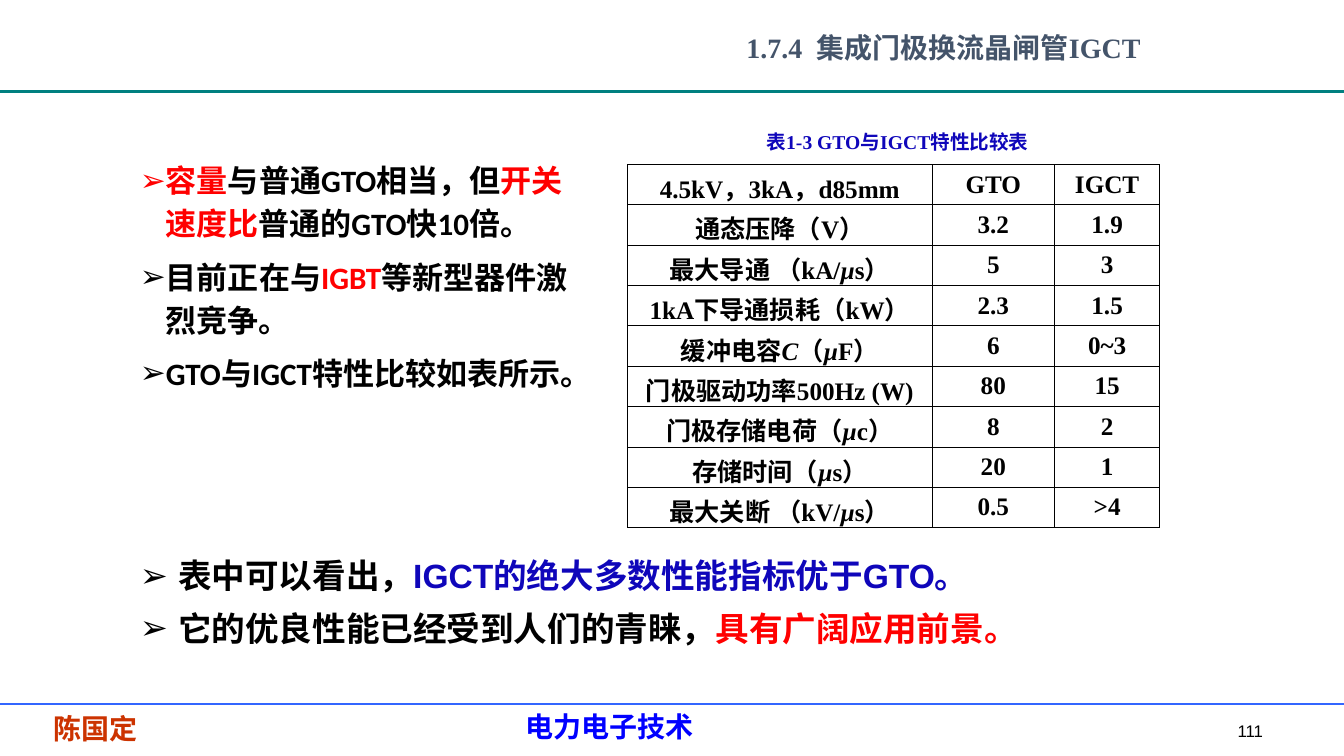
from dataclasses import dataclass

from lxml import etree
from pptx import Presentation
from pptx.dml.color import RGBColor
from pptx.enum import shapes, text
from pptx.oxml import ns
from pptx.util import Inches, Pt


@dataclass(frozen=True)
class Theme:
    black: str = "000000"
    red: str = "FF0000"
    navy: str = "0F06BA"
    blue: str = "0000FF"
    slate: str = "44546A"
    rust: str = "CC3300"
    teal: str = "008080"
    rule_blue: str = "3366FF"
    title: float = 20
    body: float = 22.2
    summary: float = 24
    cell: float = 18
    caption: float = 14
    number: float = 12
    border: float = 0.45


theme = Theme()
CENTER = text.PP_ALIGN.CENTER
MIDDLE = text.MSO_ANCHOR.MIDDLE


def style_font(para, name, size, bold=True):
    para.font.name = name
    para.font.size = Pt(size)
    para.font.bold = bold


def add_text(at, paras, name, size, align=None, anchor=None, inset=0.05, side=0.1,
             bold=True, wrap=True, indent=None, spacing=None, before=0):
    box = page.shapes.add_textbox(*map(Inches, at))
    frame = box.text_frame
    frame.word_wrap = wrap
    frame.vertical_anchor = anchor
    frame.margin_left = frame.margin_right = Inches(side)
    frame.margin_top = frame.margin_bottom = Inches(inset)
    for index, spans in enumerate(paras):
        para = frame.add_paragraph() if index else frame.paragraphs[0]
        para.alignment = align
        para.line_spacing = spacing
        if index:
            para.space_before = Pt(before)
        if indent:
            props = para._p.get_or_add_pPr()
            props.set("marL", str(Inches(indent)))
            props.set("indent", str(-Inches(indent)))
            bullet_color = etree.SubElement(props, ns.qn("a:buClr"))
            etree.SubElement(bullet_color, ns.qn("a:srgbClr"), val=spans[0][1])
            etree.SubElement(props, ns.qn("a:buFont"), typeface="Arial")
            etree.SubElement(props, ns.qn("a:buChar"), char="➢")
        style_font(para, name, size, bold)
        for words, color in spans:
            span = para.add_run()
            span.text = words
            span.font.color.rgb = RGBColor.from_string(color)


deck = Presentation()
deck.slide_width, deck.slide_height = Inches(13.34), Inches(7.5)
page = deck.slides.add_slide(deck.slide_layouts[6])

for y, color, width in [(0.91, theme.teal, 2), (6.98, theme.rule_blue, 1.5)]:
    rule = page.shapes.add_connector(
        shapes.MSO_CONNECTOR.STRAIGHT, 0, Inches(y), deck.slide_width, Inches(y))
    rule.line.color.rgb = RGBColor.from_string(color)
    rule.line.width = Pt(width)
    etree.SubElement(rule._element.spPr, ns.qn("a:effectLst"))

add_text((5.12, 7.04, 1.87, 0.33), [[("电力电子技术", theme.blue)]],
         "Arial", theme.title, inset=0, wrap=False)
add_text((0, 7.06, 1.89, 0.33), [[("陈国定", theme.rust)]],
         "Arial", theme.title, CENTER, inset=0, side=0)
add_text((12, 7.1, 0.82, 0.3), [[("111", theme.black)]],
         "Arial", theme.number, CENTER, bold=False)
add_text((7.24, 0.11, 4.25, 0.71), [[("1.7.4  集成门极换流晶闸管IGCT", theme.slate)]],
         "Times New Roman", theme.title, CENTER, MIDDLE)

add_text((1.29, 1.5, 4.54, 3.33), [
    [("容量", theme.red), ("与普通GTO相当，但", theme.black),
     ("开关速度比", theme.red), ("普通的GTO快10倍。", theme.black)],
    [("目前正在与", theme.black), ("IGBT", theme.red),
     ("等新型器件激烈竞争。", theme.black)],
    [("GTO与IGCT特性比较如表所示。", theme.black)],
], "Calibri", theme.body, indent=0.25, spacing=1.15, before=7.5)

add_text((7.38, 1.22, 3.06, 0.36), [[("表1-3 GTO与IGCT特性比较表", theme.navy)]],
         "Times New Roman", theme.caption, CENTER, spacing=1.1)

ratings = [
    ("4.5kV，3kA，d85mm", "GTO", "IGCT"),
    ("通态压降（V）", "3.2", "1.9"),
    ("最大导通 （kA/*µ*s）", "5", "3"),
    ("1kA下导通损耗（kW）", "2.3", "1.5"),
    ("缓冲电容*C*（*µ*F）", "6", "0~3"),
    ("门极驱动功率500Hz (W)", "80", "15"),
    ("门极存储电荷（*µ*c）", "8", "2"),
    ("存储时间（*µ*s）", "20", "1"),
    ("最大关断 （kV/*µ*s）", "0.5", ">4"),
]
table = page.shapes.add_table(
    len(ratings), 3, Inches(6.23), Inches(1.63), Inches(5.28), Inches(3.6)).table
table.first_row = table.horz_banding = False
for column, width in zip(table.columns, (3.02, 1.22, 1.04)):
    column.width = Inches(width)
for row, values in zip(table.rows, ratings):
    row.height = Inches(0.4)
    for cell, value in zip(row.cells, values):
        cell.vertical_anchor = MIDDLE
        cell.margin_left = cell.margin_right = Inches(0.08)
        cell.margin_top = cell.margin_bottom = Inches(0.05)
        props = cell._tc.get_or_add_tcPr()
        for side in ("lnL", "lnR", "lnT", "lnB"):
            edge = etree.SubElement(props, ns.qn(f"a:{side}"), w=str(Pt(theme.border)))
            fill = etree.SubElement(edge, ns.qn("a:solidFill"))
            etree.SubElement(fill, ns.qn("a:srgbClr"), val=theme.black)
        cell.fill.background()
        para = cell.text_frame.paragraphs[0]
        para.alignment = CENTER
        style_font(para, "Times New Roman", theme.cell)
        para.font.color.rgb = RGBColor.from_string(theme.black)
        for index, words in enumerate(value.split("*")):
            span = para.add_run()
            span.text = words
            if index % 2:
                span.font.italic = True

add_text((1.29, 5.42, 10.06, 1.18), [
    [("表中可以看出，", theme.black), ("IGCT的绝大多数性能指标优于GTO。", theme.navy)],
    [("它的优良性能已经受到人们的青睐，", theme.black), ("具有广阔应用前景。", theme.red)],
], "Arial", theme.summary, indent=0.38, spacing=1.1, before=6)

deck.save("out.pptx")
